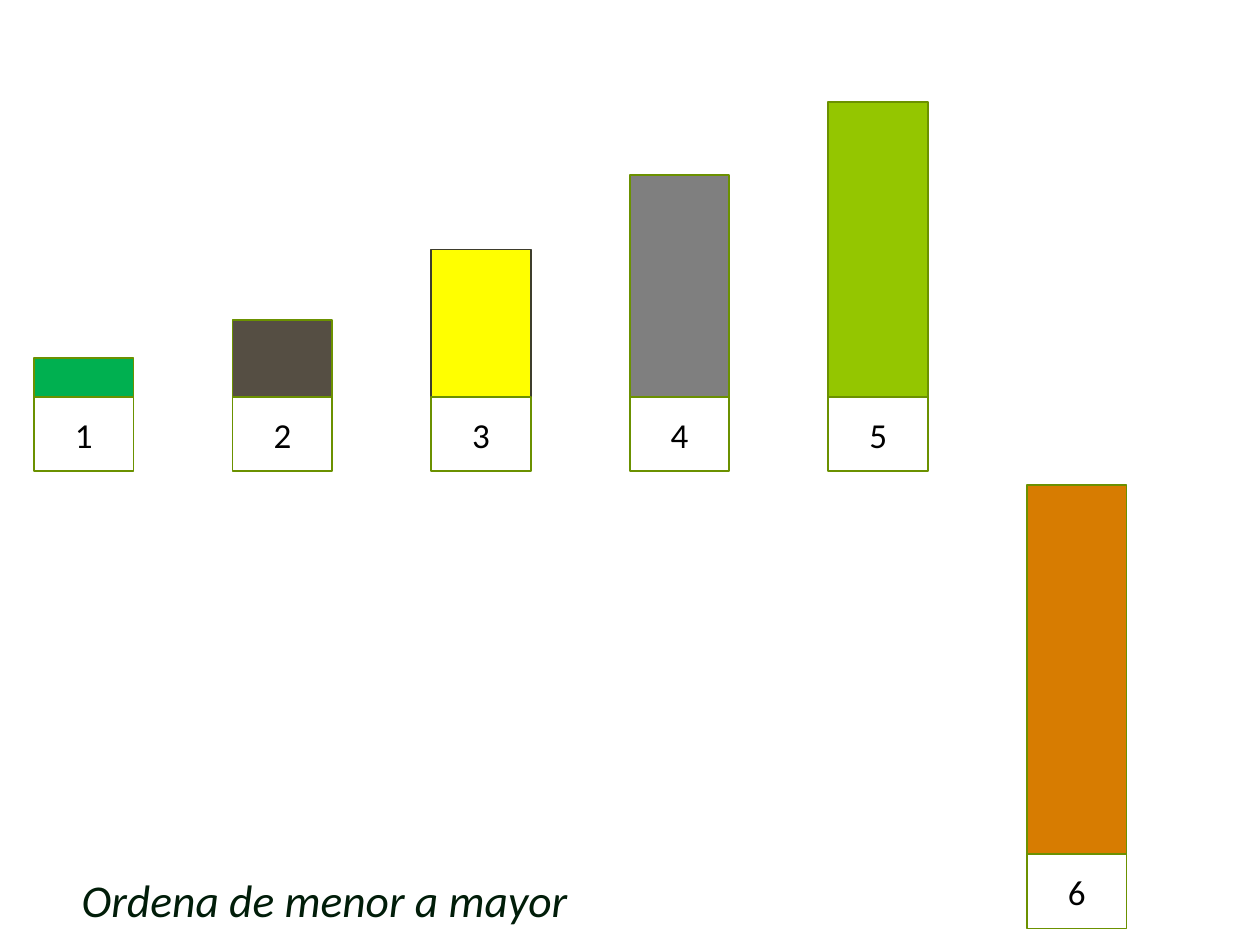
from dataclasses import dataclass

from pptx import Presentation
from pptx.dml.color import RGBColor
from pptx.enum.shapes import MSO_SHAPE
from pptx.enum.text import MSO_ANCHOR, MSO_AUTO_SIZE, PP_ALIGN
from pptx.util import Inches, Pt


@dataclass(frozen=True)
class Theme:
    font: str = "Calibri"
    label_size: int = 20
    caption_size: int = 26
    label: str = "000000"
    caption: str = "011D09"
    outline: str = "6B9100"
    dark_outline: str = "3E3D2D"
    green: str = "00B050"
    brown: str = "554E43"
    yellow: str = "FFFF00"
    gray: str = "7F7F7F"
    lime: str = "94C600"
    orange: str = "D77C01"


THEME = Theme()
BAR_W, LABEL_H = 0.79, 0.59
FIRST_LEFT, LAST_LEFT = 0.27, 8.15
ROW_BASE, LOW_BASE = 3.15, 6.78

# height, fill, outline, base line of each bar
BARS = [
    (0.31, THEME.green, THEME.outline, ROW_BASE),
    (0.61, THEME.brown, THEME.outline, ROW_BASE),
    (1.17, THEME.yellow, THEME.dark_outline, ROW_BASE),
    (1.76, THEME.gray, THEME.outline, ROW_BASE),
    (2.34, THEME.lime, THEME.outline, ROW_BASE),
    (2.93, THEME.orange, THEME.outline, LOW_BASE),
]


class SlideBuilder:
    def __init__(self, slide, theme):
        self.slide = slide
        self.theme = theme

    def add_text(self, tf, text, color, **formats):
        r = tf.paragraphs[0].add_run()
        r.text = text
        r.font.color.rgb = RGBColor.from_string(color)
        for name, value in {"name": self.theme.font, **formats}.items():
            setattr(r.font, name, value)

    def box(self, shapes, left, top, height, outline, fill=None):
        """Add a bar-wide rectangle, hollow when no fill is given."""
        sp = shapes.add_shape(MSO_SHAPE.RECTANGLE, Inches(left), Inches(top),
                              Inches(BAR_W), Inches(height))
        sp.shadow.inherit = False
        sp.line.color.rgb = RGBColor.from_string(outline)
        sp.line.width = Pt(1)
        if fill:
            sp.fill.solid()
            sp.fill.fore_color.rgb = RGBColor.from_string(fill)
        else:
            sp.fill.background()
        return sp

    def labelled_bar(self, text, left, base, height, fill, outline):
        """Group a bar standing on the base line with its number box below."""
        shapes = self.slide.shapes.add_group_shape().shapes
        self.box(shapes, left, base - height, height, outline, fill)
        label = self.box(shapes, left, base, LABEL_H, self.theme.outline)
        tf = label.text_frame
        tf.vertical_anchor = MSO_ANCHOR.MIDDLE
        tf.paragraphs[0].alignment = PP_ALIGN.CENTER
        self.add_text(tf, text, self.theme.label, size=Pt(self.theme.label_size))

    def caption(self, text, left, top, width, height):
        sp = self.slide.shapes.add_textbox(Inches(left), Inches(top),
                                           Inches(width), Inches(height))
        tf = sp.text_frame
        tf.word_wrap = True
        tf.auto_size = MSO_AUTO_SIZE.SHAPE_TO_FIT_TEXT
        self.add_text(tf, text, self.theme.caption,
                      size=Pt(self.theme.caption_size), italic=True)


def main():
    prs = Presentation()
    prs.slide_width, prs.slide_height = Inches(10), Inches(7.5)
    s = SlideBuilder(prs.slides.add_slide(prs.slide_layouts[6]), THEME)

    pitch = (LAST_LEFT - FIRST_LEFT) / (len(BARS) - 1)
    for i, (height, fill, outline, base) in enumerate(BARS):
        s.labelled_bar(str(i + 1), FIRST_LEFT + i * pitch, base, height, fill, outline)
    s.caption("Ordena de menor a mayor", 0.55, 6.87, 4.17, 0.54)

    prs.save("out.pptx")


if __name__ == "__main__":
    main()
